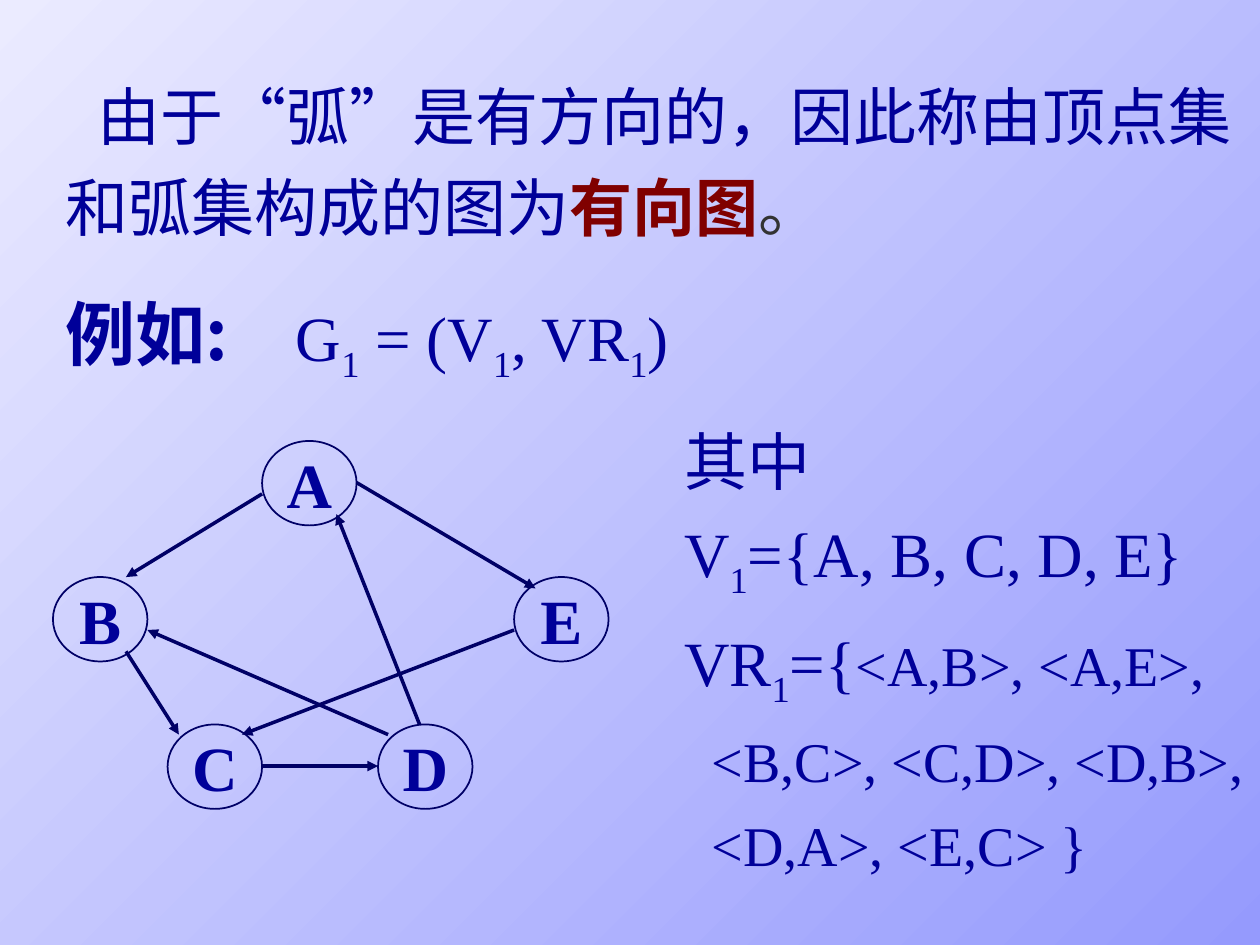
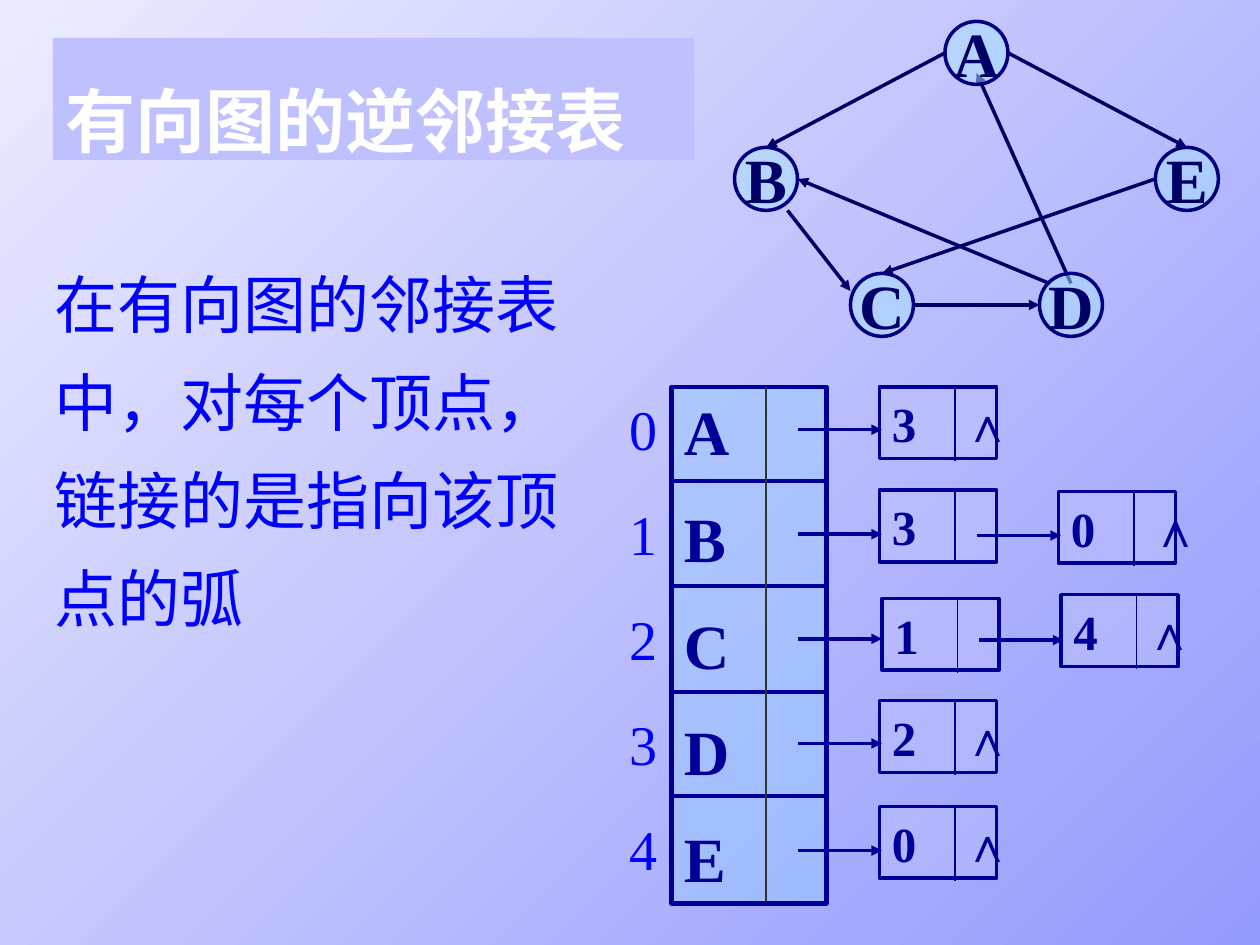
from dataclasses import dataclass, replace

from lxml import etree
from pptx import Presentation
from pptx.dml.color import RGBColor
from pptx.enum.shapes import MSO_CONNECTOR, MSO_SHAPE
from pptx.enum.text import MSO_ANCHOR, MSO_AUTO_SIZE, PP_ALIGN
from pptx.oxml.ns import qn
from pptx.util import Emu, Pt

PX = 9144
STRAIGHT = MSO_CONNECTOR.STRAIGHT
OVAL, RECT = MSO_SHAPE.OVAL, MSO_SHAPE.RECTANGLE
TOP, MIDDLE = MSO_ANCHOR.TOP, MSO_ANCHOR.MIDDLE
LEFT, CENTER = PP_ALIGN.LEFT, PP_ALIGN.CENTER
NO_FIT = MSO_AUTO_SIZE.NONE

INK = RGBColor(0x00, 0x00, 0x99)
DEEP = RGBColor(0x00, 0x00, 0x66)
NAVY = RGBColor(0x00, 0x00, 0x80)
BLUE = RGBColor(0x00, 0x00, 0xFF)
MAROON = RGBColor(0x80, 0x00, 0x00)
GREY = RGBColor(0x33, 0x33, 0x33)
WHITE = RGBColor(0xFF, 0xFF, 0xFF)
BAND = RGBColor(0xBE, 0xC1, 0xFE)
SKY = RGBColor(0x99, 0xCC, 0xFF)
ICE = RGBColor(0xA7, 0xE2, 0xFF)
BG_DARK = RGBColor(0x95, 0x9A, 0xFD)
BG_LIGHT = RGBColor(0xEB, 0xEB, 0xFF)

CJK, SERIF, SANS = "Noto Sans CJK SC", "Times New Roman", "Arial"


def px(n):
    return Emu(n * PX)


@dataclass(frozen=True)
class Face:
    size: int
    color: RGBColor = INK
    font: str = SERIF
    bold: bool = False
    sub: bool = False


@dataclass(frozen=True)
class Para:
    runs: list
    line: int
    before: int = 0
    indent: int = 0
    align: int = LEFT


HAN = Face(36, font=CJK)
HAN_BOLD = Face(40, font=CJK, bold=True)
MATH = Face(36)
SUB = replace(MATH, sub=True)
PAIR = Face(32)
LETTER = Face(36, bold=True)
VALUE = Face(28, bold=True)


class Deck:
    def __init__(self):
        self.prs = Presentation()
        self.prs.slide_width, self.prs.slide_height = px(1000), px(750)
        fill = self.prs.slide_master.background.fill
        fill.gradient()
        fill.gradient_angle = 135
        for stop, color in zip(fill.gradient_stops, (BG_DARK, BG_LIGHT)):
            stop.color.rgb = color

    def new_slide(self):
        self.slide = self.prs.slides.add_slide(self.prs.slide_layouts[1])

    def set_text(self, sp, paras, top=5, side=10, anchor=TOP, wrap=True):
        tf = sp.text_frame
        tf.auto_size = NO_FIT
        tf.word_wrap = wrap
        tf.vertical_anchor = anchor
        tf.margin_left = tf.margin_right = px(side)
        tf.margin_top, tf.margin_bottom = px(top), px(5)
        for i, para in enumerate(paras):
            p = tf.paragraphs[0] if i == 0 else tf.add_paragraph()
            pPr = p._p.get_or_add_pPr()
            pPr.set("marL", "0")
            pPr.set("indent", str(px(para.indent)))
            etree.SubElement(pPr, qn("a:buNone"))
            p.alignment = para.align
            p.line_spacing = Pt(para.line)
            p.space_before = Pt(para.before if i else 0)
            for text, face in para.runs:
                self.run(p, text, face)

    def run(self, p, text, face):
        r = p.add_run()
        r.text = text
        r.font.size = Pt(face.size)
        r.font.bold = face.bold
        r.font.color.rgb = face.color
        r.font.name = face.font
        rPr = r._r.get_or_add_rPr()
        etree.SubElement(rPr, qn("a:ea"), typeface=CJK)
        if face.sub:
            rPr.set("baseline", "-25000")

    def place(self, sp, box):
        sp.left, sp.top, sp.width, sp.height = map(px, box)

    def title(self, box, paras, fill=None, **layout):
        sp = self.slide.shapes.title
        self.place(sp, box)
        if fill is not None:
            sp.fill.solid()
            sp.fill.fore_color.rgb = fill
        self.set_text(sp, paras, **layout)

    def body(self, box, paras, **layout):
        sp = self.slide.placeholders[1]
        self.place(sp, box)
        self.set_text(sp, paras, **layout)

    def text(self, box, paras):
        self.set_text(self.slide.shapes.add_textbox(*map(px, box)), paras)

    def shape(self, kind, box, paras, line, width, fill=None, **layout):
        sp = self.slide.shapes.add_shape(kind, *map(px, box))
        sp.shadow.inherit = False
        if fill is None:
            sp.fill.background()
        else:
            sp.fill.solid()
            sp.fill.fore_color.rgb = fill
            clr = sp._element.spPr.find(".//" + qn("a:srgbClr"))
            etree.SubElement(clr, qn("a:alpha"), val="50000")
        sp.line.color.rgb = line
        sp.line.width = Pt(width)
        self.set_text(sp, paras, **layout)

    def line(self, ends, color, width, arrow=False):
        c = self.slide.shapes.add_connector(STRAIGHT, *map(px, ends))
        c.line.color.rgb = color
        c.line.width = Pt(width)
        spPr = c._element.spPr
        if arrow:
            etree.SubElement(spPr.find(qn("a:ln")), qn("a:tailEnd"), type="triangle")
        etree.SubElement(spPr, qn("a:effectLst"))

    def graph(self, nodes, size, edges, face, line, width, fill=None):
        for ends in edges:
            self.line(ends, DEEP, 2, arrow=True)
        for name, corner in nodes.items():
            label = Para([(name, face)], 43, align=CENTER)
            self.shape(OVAL, corner + size, [label], line, width, fill,
                       top=5, side=0, anchor=MIDDLE, wrap=False)

    def list_node(self, x, y, arrow_x, arrow_y, value, nil_x):
        self.shape(RECT, (x, y, 93, 57), [Para([(value, VALUE)], 34)], INK, 2, BAND)
        self.line((x + 60, y + 1, x + 60, y + 59), INK, 1)
        self.line((arrow_x, arrow_y, arrow_x + 67, arrow_y), INK, 2, arrow=True)
        if nil_x:
            nil = replace(VALUE, font=SANS)
            self.text((nil_x, y, 60, 57), [Para([("∧", nil)], 34)])


def directed_graph(deck):
    deck.new_slide()
    deck.title((42, 33, 958, 162), [Para([
        ("由于“弧”是有方向的，因此称由顶点集和弧集构成的图为", HAN),
        ("有向图", replace(HAN, color=MAROON, bold=True)),
        ("。", replace(HAN, color=GREY)),
    ], 52, indent=25)], top=16)
    deck.text((42, 208, 191, 90), [Para([("例如:", HAN_BOLD)], 61)])
    deck.text((225, 217, 375, 92), [Para([
        ("G", MATH), ("1", SUB), (" = (V", MATH), ("1", SUB),
        (", VR", MATH), ("1", SUB), (")", MATH)], 60)])
    deck.body((533, 308, 467, 389), [
        Para([("其中", HAN)], 59),
        Para([("V", MATH), ("1", SUB), ("={A, B, C, D, E}", MATH)], 59),
        Para([("VR", MATH), ("1", SUB), ("={", MATH), ("<A,B>, <A,E>,", PAIR)], 62),
        Para([("<B,C>, <C,D>, <D,B>,", PAIR)], 48, indent=22),
        Para([("<D,A>, <E,C> }", PAIR)], 48, indent=22),
    ])
    nodes = {"A": (208, 350), "B": (42, 458), "C": (133, 575),
             "D": (300, 575), "E": (408, 458)}
    edges = [(208, 392, 100, 458), (100, 517, 142, 583), (208, 608, 300, 608),
             (333, 575, 267, 408), (283, 383, 425, 467), (308, 583, 117, 500),
             (408, 500, 192, 583)]
    deck.graph(nodes, (75, 67), edges, LETTER, DEEP, 1)


def inverse_adjacency_list(deck):
    deck.new_slide()
    deck.title((42, 30, 509, 97), [Para([
        ("有向图的逆邻接表", Face(40, WHITE, bold=True))], 67)], fill=BAND)
    deck.body((33, 183, 442, 322), [Para([
        ("在有向图的邻接表中，对每个顶点，链接的是指向该顶点的弧", Face(36, BLUE))], 56)],
        top=10)
    nodes = {"A": (750, 17), "B": (583, 117), "C": (675, 217),
             "D": (825, 217), "E": (917, 117)}
    edges = [(750, 42, 608, 117), (625, 167, 675, 231), (725, 242, 825, 242),
             (850, 225, 775, 58), (800, 42, 942, 117), (833, 225, 633, 142),
             (917, 142, 700, 217)]
    deck.graph(nodes, (50, 50), edges, replace(LETTER, color=DEEP), NAVY, 2, ICE)

    deck.shape(RECT, (533, 307, 123, 410),
               [Para([(name, LETTER)], 43, before=18) for name in nodes],
               INK, 2.5, SKY)
    for y in (382, 465, 549, 632):
        deck.line((533, y, 658, y), INK, 2.25)
    deck.line((608, 307, 608, 715), GREY, 1)
    deck.text((490, 309, 42, 399),
              [Para([(str(i), Face(32, BLUE))], 38, before=22) for i in range(len(nodes))])
    for node in [
        (698, 307, 633, 341, "3", 755),
        (698, 389, 633, 424, "3", None),
        (840, 390, 775, 425, "0", 904),
        (700, 475, 633, 507, "1", None),
        (842, 472, 777, 508, "4", 899),
        (698, 556, 633, 590, "2", 755),
        (698, 640, 633, 675, "0", 755),
    ]:
        deck.list_node(*node)


def main():
    deck = Deck()
    directed_graph(deck)
    inverse_adjacency_list(deck)
    deck.prs.save("out.pptx")


if __name__ == "__main__":
    main()
